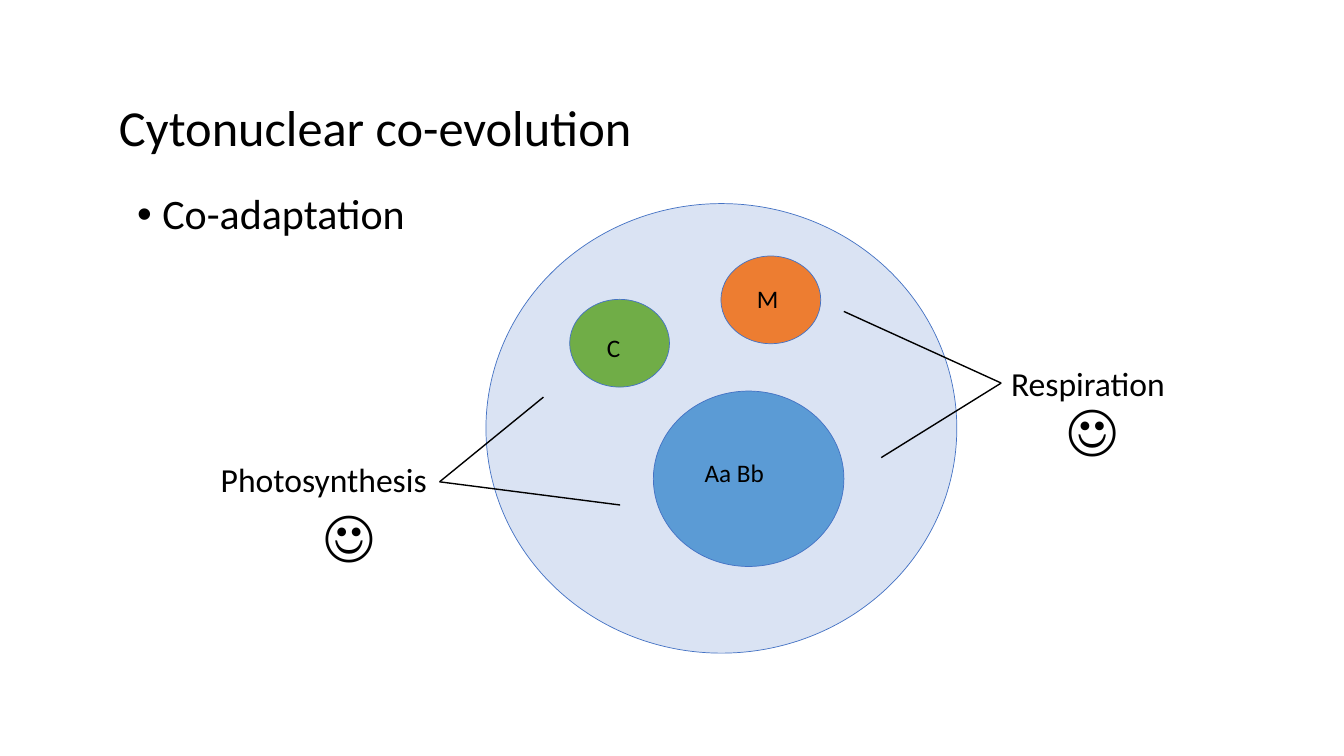
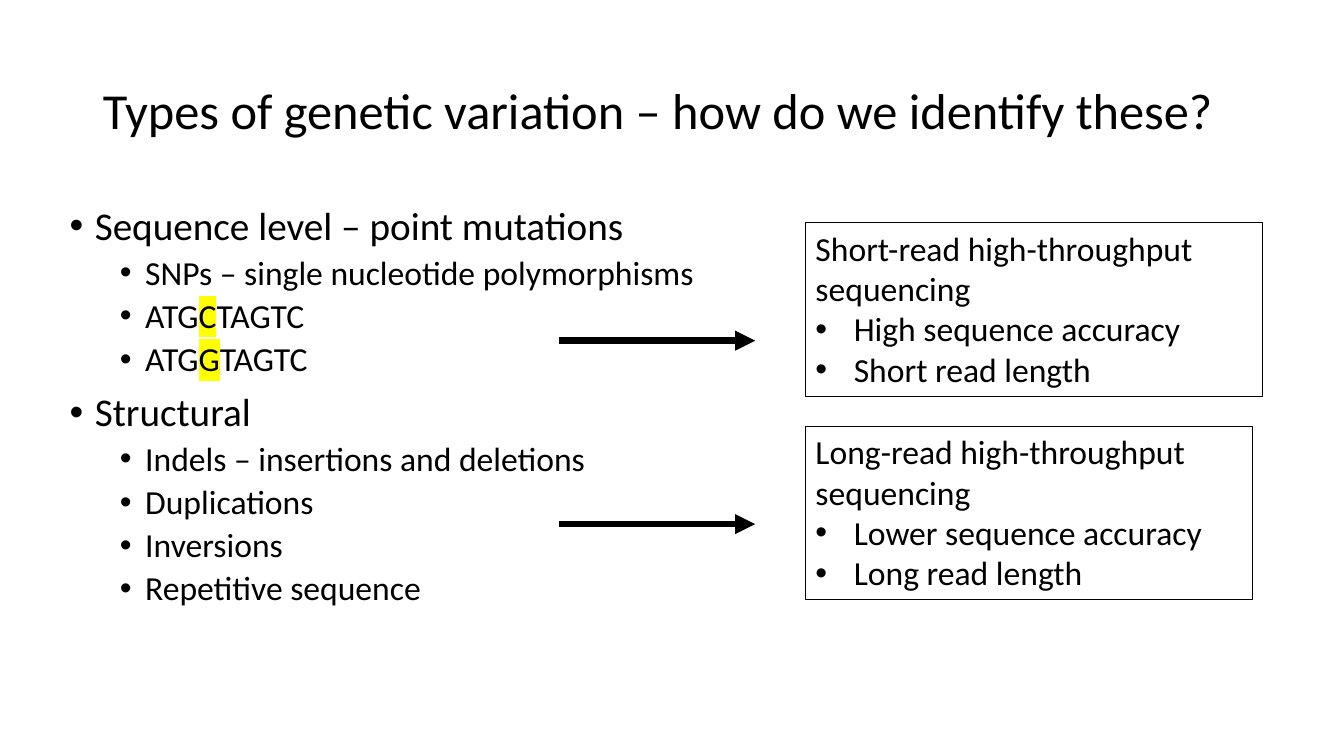
from dataclasses import dataclass

from lxml import etree
from pptx import Presentation
from pptx.dml.color import RGBColor
from pptx.enum.shapes import MSO_CONNECTOR, MSO_SHAPE
from pptx.enum.text import MSO_ANCHOR, MSO_AUTO_SIZE, PP_ALIGN
from pptx.oxml.ns import qn
from pptx.util import Emu, Pt

PX = 9144  # 100 px to the inch
ELLIPSE, RECT = MSO_SHAPE.OVAL, MSO_SHAPE.RECTANGLE
STRAIGHT = MSO_CONNECTOR.STRAIGHT
LEFT, TOP, MIDDLE = PP_ALIGN.LEFT, MSO_ANCHOR.TOP, MSO_ANCHOR.MIDDLE
NO_AUTOFIT = MSO_AUTO_SIZE.NONE
LEFT_SIDE = 1


@dataclass(frozen=True)
class Theme:
    font: str = "Calibri"
    ink: str = "000000"
    outline: str = "4472C4"
    cytoplasm: str = "DAE3F3"
    nucleus: str = "5B9BD5"
    chloroplast: str = "70AD47"
    mitochondrion: str = "ED7D31"
    highlight: str = "FFFF00"
    title: int = 36
    lead: int = 30
    body: int = 28
    text: int = 24
    small: int = 18
    smiley: int = 40


THEME = Theme()


# Shared helpers
def px(*values):
    return [Emu(v * PX) for v in values]


def rgb(value):
    return RGBColor.from_string(value)


def shift(box, offset):
    return box[0] + offset[0], box[1] + offset[1], *offset[2:]


def style_run(r, size):
    r.font.name = THEME.font
    r.font.size = Pt(size)
    r.font.color.rgb = rgb(THEME.ink)


def style_paragraph(p, size):
    p.alignment = LEFT
    for r in p.runs:
        style_run(r, size)


def add_bullet(p, margin, hang):
    pPr = p._p.get_or_add_pPr()
    pPr.set("marL", str(margin * PX))
    pPr.set("indent", str(-hang * PX))
    etree.SubElement(pPr, qn("a:buFont"), typeface="Arial")
    etree.SubElement(pPr, qn("a:buChar"), char="•")


def next_paragraph(tf, index):
    return tf.paragraphs[0] if index == 0 else tf.add_paragraph()


def highlight_run(r):
    mark = etree.Element(qn("a:highlight"))
    etree.SubElement(mark, qn("a:srgbClr"), val=THEME.highlight)
    r._r.rPr.find(qn("a:solidFill")).addnext(mark)


def place(sp, box):
    sp.left, sp.top, sp.width, sp.height = px(*box)


def add_label(shapes, box, text, size):
    sp = shapes.add_textbox(*px(*box))
    tf = sp.text_frame
    tf.word_wrap = True
    tf.text = text
    style_paragraph(tf.paragraphs[0], size)
    return sp


def add_line(shapes, start, end, width, arrow=False):
    line = shapes.add_connector(STRAIGHT, *px(*start, *end))
    line.line.color.rgb = rgb(THEME.ink)
    line.line.width = Pt(width)
    if arrow:
        etree.SubElement(line.line._get_or_add_ln(), qn("a:tailEnd"), type="triangle")
    etree.SubElement(line._element.spPr, qn("a:effectLst"))
    return line


def add_titled_slide(prs, title, box):
    slide = prs.slides.add_slide(prs.slide_layouts[1])
    sp = slide.shapes.title
    place(sp, box)
    tf = sp.text_frame
    tf.text = title
    tf.auto_size = NO_AUTOFIT
    tf.vertical_anchor = MIDDLE
    tf.paragraphs[0].line_spacing = 0.9
    style_paragraph(tf.paragraphs[0], THEME.title)
    return slide


def fill_body(slide, box, items, top_size):
    """Each item is (level, text pieces); the second piece is highlighted."""
    sp = slide.placeholders[1]
    place(sp, box)
    tf = sp.text_frame
    tf.auto_size = NO_AUTOFIT
    tf.vertical_anchor = TOP
    for i, (level, pieces) in enumerate(items):
        p = next_paragraph(tf, i)
        p.level = level
        add_bullet(p, 75 if level else 25, 25)
        p.line_spacing = 0.9
        p.space_before = Pt(0 if i == 0 else 5 if level else 10)
        for piece in pieces:
            p.add_run().text = piece
        style_paragraph(p, THEME.text if level else top_size)
        if len(pieces) > 1:
            highlight_run(p.runs[1])


# Cell diagram
def draw_cell(slide, box):
    shapes = slide.shapes.add_group_shape().shapes
    bodies = [
        ((0, 0, *box[2:]), THEME.cytoplasm),
        ((166, 186, 189, 174), THEME.nucleus),
        ((83, 95, 99, 87), THEME.chloroplast),
        ((233, 52, 99, 87), THEME.mitochondrion),
    ]
    for offset, color in bodies:
        sp = shapes.add_shape(ELLIPSE, *px(*shift(box, offset)))
        sp.shadow.inherit = False
        sp.fill.solid()
        sp.fill.fore_color.rgb = rgb(color)
        sp.line.color.rgb = rgb(THEME.outline)
        sp.line.width = Pt(0.5)
    labels = [
        ((207, 247, 151, 53), "Aa Bb"),
        ((110, 123, 56, 53), "C"),
        ((259, 74, 56, 53), "M"),
    ]
    for offset, text in labels:
        add_label(shapes, shift(box, offset), text, THEME.small)


def draw_callout(slide, box, text, apex, targets, smiley):
    shapes = slide.shapes.add_group_shape().shapes
    label = add_label(shapes, box, text, THEME.text)
    for target in targets:
        line = add_line(shapes, shift(box, target), shift(box, apex), 1)
        if apex == (0, box[3] // 2):
            line.end_connect(label, LEFT_SIDE)
    add_label(shapes, shift(box, (*smiley, 104, 77)), "☺", THEME.smiley)


# Sequencing method: framed box with an arrow leading to it
def draw_method(slide, box, heading, traits, arrow_y):
    sp = slide.shapes.add_shape(RECT, *px(*box))
    sp.shadow.inherit = False
    sp.fill.background()
    sp.line.color.rgb = rgb(THEME.ink)
    sp.line.width = Pt(0.75)
    tf = sp.text_frame
    tf.word_wrap = True
    tf.vertical_anchor = TOP
    for i, text in enumerate([heading, *traits]):
        p = next_paragraph(tf, i)
        p.text = text
        if i:
            add_bullet(p, 38, 38)
        style_paragraph(p, THEME.text)
    add_line(slide.shapes, shift(box, (-245, arrow_y)),
             shift(box, (-50, arrow_y)), 4.75, arrow=True)


# Slides
def build_coevolution(prs):
    slide = add_titled_slide(prs, "Cytonuclear co-evolution", (108, 57, 1150, 145))
    fill_body(slide, (126, 187, 340, 100), [(0, ["Co-adaptation"])], THEME.lead)
    draw_cell(slide, (482, 202, 467, 446))
    draw_callout(slide, (209, 450, 238, 50), "Photosynthesis",
                 (227, 28), [(330, -56), (406, 51)], (102, 41))
    draw_callout(slide, (993, 355, 238, 50), "Respiration",
                 (0, 25), [(-156, -46), (-119, 99)], (55, 31))


def build_variation(prs):
    slide = add_titled_slide(
        prs, "Types of genetic variation – how do we identify these?",
        (92, 40, 1150, 145))
    fill_body(slide, (59, 200, 720, 476), [
        (0, ["Sequence level – point mutations"]),
        (1, ["SNPs – single nucleotide polymorphisms"]),
        (1, ["ATG", "C", "TAGTC"]),
        (1, ["ATG", "G", "TAGTC"]),
        (0, ["Structural"]),
        (1, ["Indels – insertions and deletions"]),
        (1, ["Duplications"]),
        (1, ["Inversions"]),
        (1, ["Repetitive sequence"]),
    ], THEME.body)
    draw_method(slide, (799, 221, 453, 172), "Short-read high-throughput sequencing",
                ["High sequence accuracy", "Short read length"], 117)
    draw_method(slide, (799, 423, 443, 172), "Long-read high-throughput sequencing",
                ["Lower sequence accuracy", "Long read length"], 97)


def main():
    prs = Presentation()
    prs.slide_width, prs.slide_height = px(1333, 750)
    build_coevolution(prs)
    build_variation(prs)
    prs.save("out.pptx")


if __name__ == "__main__":
    main()
